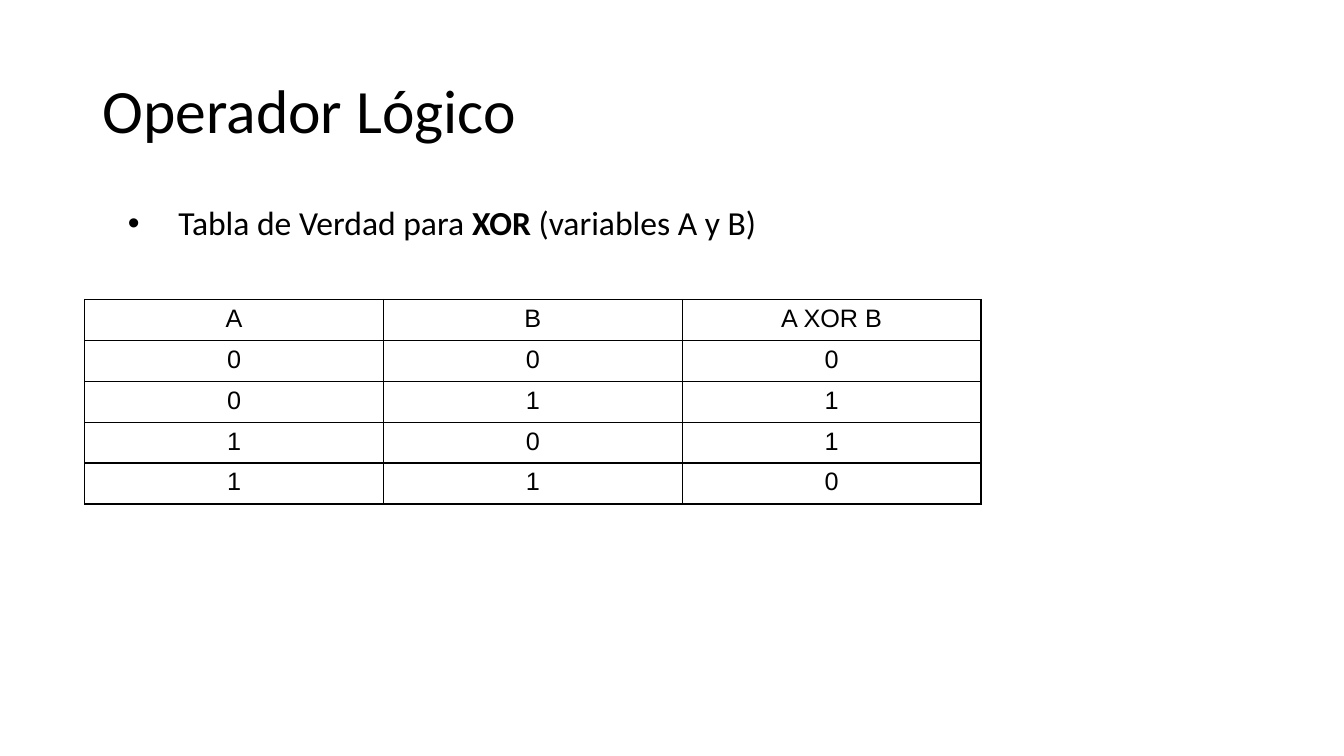
from dataclasses import dataclass

from lxml import etree
from pptx import Presentation
from pptx import util as u
from pptx.dml.color import RGBColor
from pptx.enum import text
from pptx.oxml.ns import qn


@dataclass(frozen=True)
class Theme:
    ink: str = "000000"
    paper: str = "FFFFFF"
    text_font: str = "Calibri"
    table_font: str = "Arial"
    title_size: float = 44
    body_size: float = 24
    table_size: float = 18
    border: float = 1


def add_text(p, content, *, font, size, color, bold=False):
    r = p.add_run()
    r.text = content
    r.font.name = font
    r.font.size = u.Pt(size)
    r.font.bold = bold
    r.font.color.rgb = RGBColor.from_string(color)


class SlideBuilder:
    def __init__(self, s, theme):
        self.s = s
        self.theme = theme
        s.background.fill.solid()
        s.background.fill.fore_color.rgb = RGBColor.from_string(theme.paper)

    def text_box(self, box, anchor):
        """Add a wrapping text box and return its first paragraph."""
        tf = self.s.shapes.add_textbox(*map(u.Inches, box)).text_frame
        tf.word_wrap = True
        tf.vertical_anchor = anchor
        p = tf.paragraphs[0]
        p.line_spacing = 0.9
        return p

    def title(self, content, box):
        t = self.theme
        p = self.text_box(box, text.MSO_ANCHOR.MIDDLE)
        add_text(p, content, font=t.text_font, size=t.title_size, color=t.ink)

    def bullet(self, runs, box):
        """Add one bulleted line from (text, bold) pairs."""
        t = self.theme
        p = self.text_box(box, text.MSO_ANCHOR.TOP)
        pPr = p._p.get_or_add_pPr()
        pPr.set("marL", str(u.Inches(0.75)))
        pPr.set("indent", str(u.Inches(-0.5)))
        etree.SubElement(pPr, qn("a:buFont"), typeface="Arial")
        etree.SubElement(pPr, qn("a:buChar"), char="•")
        for content, bold in runs:
            add_text(p, content, font=t.text_font, size=t.body_size,
                     color=t.ink, bold=bold)

    def borders(self, cell):
        tcPr = cell._tc.get_or_add_tcPr()
        for side in ("a:lnL", "a:lnR", "a:lnT", "a:lnB"):
            ln = etree.SubElement(tcPr, qn(side), w=str(u.Pt(self.theme.border)))
            fill = etree.SubElement(ln, qn("a:solidFill"))
            etree.SubElement(fill, qn("a:srgbClr"), val=self.theme.ink)

    def table(self, rows, left, top, col_width, row_height):
        t = self.theme
        n_rows, n_cols = len(rows), len(rows[0])
        tbl = self.s.shapes.add_table(
            n_rows, n_cols, u.Inches(left), u.Inches(top),
            u.Inches(col_width * n_cols), u.Inches(row_height * n_rows)).table
        tbl.first_row = tbl.horz_banding = False
        for i, row in enumerate(rows):
            for j, value in enumerate(row):
                cell = tbl.cell(i, j)
                self.borders(cell)
                cell.fill.background()
                p = cell.text_frame.paragraphs[0]
                p.alignment = text.PP_ALIGN.CENTER
                add_text(p, str(value), font=t.table_font, size=t.table_size,
                         color=t.ink)


def main():
    prs = Presentation()
    prs.slide_width, prs.slide_height = u.Inches(13.33), u.Inches(7.5)
    slide = SlideBuilder(prs.slides.add_slide(prs.slide_layouts[6]), Theme())

    slide.title("Operador Lógico", (0.92, 0.4, 11.5, 1.45))
    slide.bullet([("Tabla de Verdad para ", False), ("XOR ", True),
                  ("(variables A y B)", False)], (0.92, 2, 11.5, 4.76))
    truth_table = [(a, b, a ^ b) for a in (0, 1) for b in (0, 1)]
    slide.table([("A", "B", "A XOR B"), *truth_table], left=0.84, top=2.97,
                col_width=2.963, row_height=0.406)

    prs.save("out.pptx")


if __name__ == "__main__":
    main()
